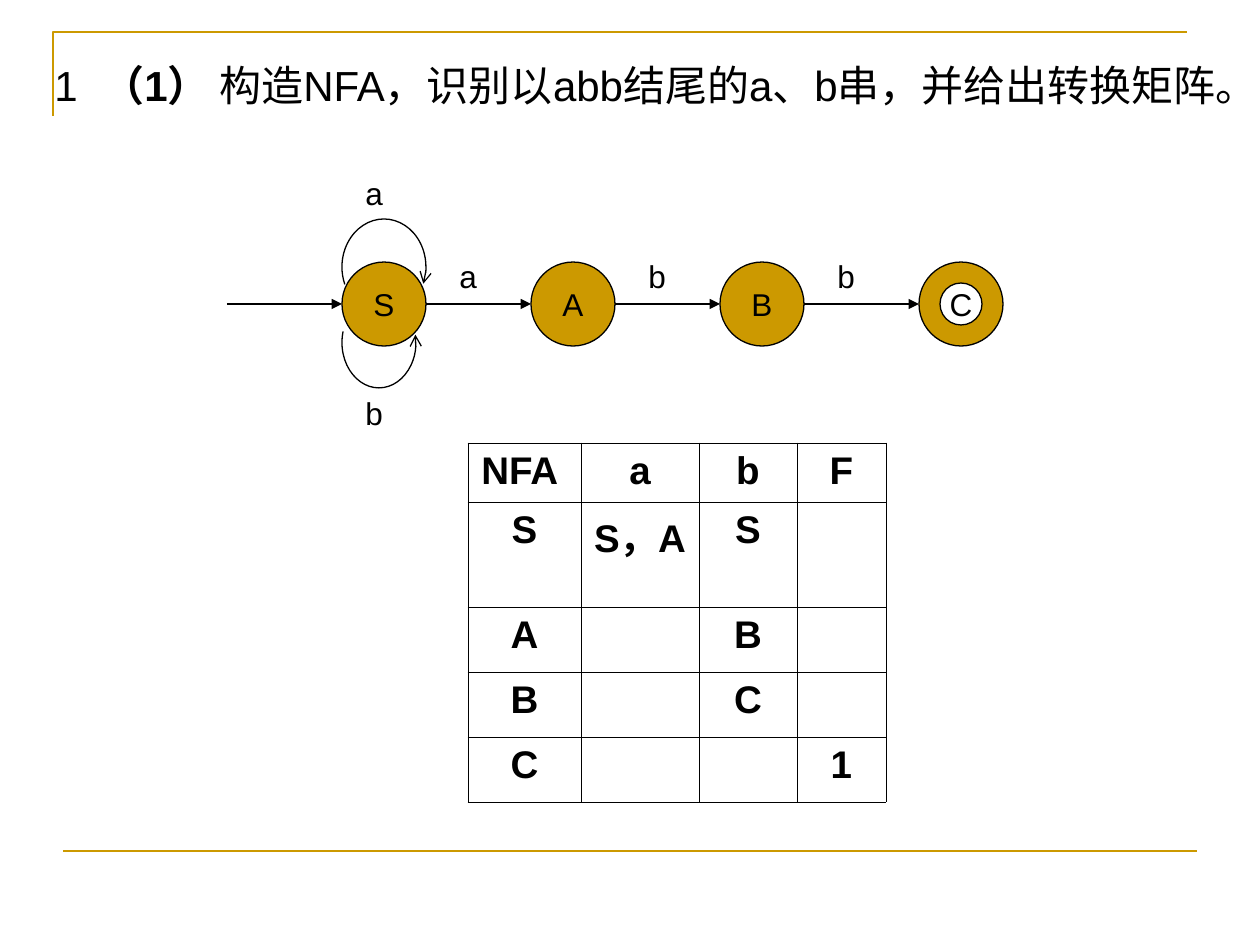
"""Build a slide with an NFA for strings ending in abb and its transition matrix."""
from typing import Any, NamedTuple, Optional

from lxml import etree
from pptx import Presentation
from pptx import util as u
from pptx.dml import color
from pptx.enum import shapes, text
from pptx.oxml import ns

SCALE = 914400 / 126
COLORS = {"gold": "CC9900", "ink": "000000"}
FONT = "Arial"
HANGING = 48
NODE_SIZE = 84
NODE_TOP = 262
AXIS = NODE_TOP + NODE_SIZE // 2


class State(NamedTuple):
    name: str
    left: int
    accepting: bool = False


class Loop(NamedTuple):
    left: int
    top: int
    width: int
    height: int
    start: int
    end: int
    arrow: str


class Label(NamedTuple):
    words: str
    left: int
    top: int
    width: int = 63


STATES = [State("S", 342), State("A", 531), State("B", 720), State("C", 919, True)]
LOOPS = [
    Loop(342, 219, 84, 96, 156, 23, "tailEnd"),
    Loop(342, 297, 74, 91, 348, 197, "headEnd"),
]
LABELS = [
    Label("a", 447, 251),
    Label("b", 636, 251),
    Label("b", 825, 251),
    Label("a", 353, 168, 53),
    Label("b", 353, 388, 53),
]
COLUMNS = [113, 118, 98, 89]
ROWS = [59, 105, 65, 65, 65]
MATRIX = [
    ["NFA ", "a", "b", "F"],
    ["S", "S，A", "S", ""],
    ["A", "", "B", ""],
    ["B", "", "C", ""],
    ["C", "", "", "1"],
]
UNINDENTED = {(1, 1), (1, 2), (4, 3)}


def px(length: int) -> u.Emu:
    """Turn pixels into EMU."""
    return u.Emu(round(length * SCALE))


def rgb(name: str) -> color.RGBColor:
    """Look up a named colour."""
    return color.RGBColor.from_string(COLORS[name])


def style_line(shape: Any, name: str, width: float, arrow: Optional[str] = None, head: str = "triangle") -> None:
    """Set line colour and width, with an arrowhead at one end if named."""
    shape.line.color.rgb = rgb(name)
    shape.line.width = u.Pt(width)
    if arrow:
        etree.SubElement(shape.line._get_or_add_ln(), ns.qn(f"a:{arrow}"), type=head)


def style_paragraph(paragraph: Any, size: int, bold: Optional[bool] = None, centred: bool = False, hanging: bool = False) -> None:
    """Set the indent, alignment and font of a paragraph."""
    if hanging:
        properties = paragraph._p.get_or_add_pPr()
        properties.set("marL", str(px(HANGING)))
        properties.set("indent", str(-px(HANGING)))
    paragraph.alignment = text.PP_ALIGN.CENTER if centred else text.PP_ALIGN.LEFT
    paragraph.font.name = FONT
    paragraph.font.size = u.Pt(size)
    paragraph.font.bold = bold
    paragraph.font.color.rgb = rgb("ink")


def add_line(slide: Any, left: int, right: int, top: int, name: str, width: float, arrow: Optional[str] = None) -> None:
    """Draw a horizontal line."""
    line = slide.shapes.add_connector(shapes.MSO_CONNECTOR.STRAIGHT, px(left), px(top), px(right), px(top))
    style_line(line, name, width, arrow)
    etree.SubElement(line._element.spPr, ns.qn("a:effectLst"))


def add_frame(slide: Any) -> None:
    """Draw the corner rule at the top and the rule at the bottom."""
    builder = slide.shapes.build_freeform(53, 116, scale=SCALE)
    builder.add_line_segments([(53, 32), (1187, 32)], close=False)
    corner = builder.convert_to_shape()
    corner.shadow.inherit = False
    corner.fill.background()
    style_line(corner, "gold", 1.5)
    add_line(slide, 63, 1197, 851, "gold", 1.5)


def add_title(slide: Any) -> None:
    """Write the exercise statement."""
    frame = slide.shapes.add_textbox(px(42), px(53), px(1187), px(813)).text_frame
    frame.word_wrap = True
    paragraph = frame.paragraphs[0]
    style_paragraph(paragraph, 24, hanging=True)
    for words, bold in [
        ("1\t", False),
        ("（1） ", True),
        ("构造NFA，识别以abb结尾的a、b串，并给出转换矩阵。", False),
    ]:
        run = paragraph.add_run()
        run.text = words
        run.font.bold = bold


def add_state(slide: Any, state: State) -> None:
    """Draw a state as a disc, or as a ring if it accepts."""
    kind = shapes.MSO_SHAPE.DONUT if state.accepting else shapes.MSO_SHAPE.FLOWCHART_CONNECTOR
    shape = slide.shapes.add_shape(kind, px(state.left), px(NODE_TOP), px(NODE_SIZE), px(NODE_SIZE))
    shape.shadow.inherit = False
    shape.fill.solid()
    shape.fill.fore_color.rgb = rgb("gold")
    style_line(shape, "ink", 0.75)
    frame = shape.text_frame
    frame.word_wrap = False
    frame.vertical_anchor = text.MSO_ANCHOR.MIDDLE
    frame.text = state.name
    style_paragraph(frame.paragraphs[0], 18, centred=True)


def add_loop(slide: Any, loop: Loop) -> None:
    """Draw a transition from a state to itself."""
    arc = slide.shapes.add_shape(shapes.MSO_SHAPE.ARC, px(loop.left), px(loop.top), px(loop.width), px(loop.height))
    arc.adjustments[0] = loop.start * 0.6
    arc.adjustments[1] = loop.end * 0.6
    arc.shadow.inherit = False
    arc.fill.background()
    style_line(arc, "ink", 0.75, loop.arrow, "arrow")


def add_label(slide: Any, label: Label) -> None:
    """Write the symbol of a transition."""
    frame = slide.shapes.add_textbox(px(label.left), px(label.top), px(label.width), px(50)).text_frame
    frame.word_wrap = True
    frame.text = label.words
    style_paragraph(frame.paragraphs[0], 18)


def add_borders(cell: Any) -> None:
    """Give a table cell thin borders on all sides."""
    properties = cell._tc.get_or_add_tcPr()
    for side in ("lnL", "lnR", "lnT", "lnB"):
        border = etree.SubElement(properties, ns.qn(f"a:{side}"), w=str(u.Pt(0.45)))
        fill = etree.SubElement(border, ns.qn("a:solidFill"))
        etree.SubElement(fill, ns.qn("a:srgbClr"), val=COLORS["ink"])


def add_matrix(slide: Any) -> None:
    """Draw the transition matrix."""
    table = slide.shapes.add_table(
        len(ROWS), len(COLUMNS), px(468), px(443), px(sum(COLUMNS)), px(sum(ROWS))
    ).table
    table.first_row = table.horz_banding = False
    for column, width in zip(table.columns, COLUMNS):
        column.width = px(width)
    for row, height in zip(table.rows, ROWS):
        row.height = px(height)
    for i, values in enumerate(MATRIX):
        for j, value in enumerate(values):
            cell = table.cell(i, j)
            add_borders(cell)
            cell.fill.background()
            cell.text = value
            style_paragraph(cell.text_frame.paragraphs[0], 22, True, True, (i, j) not in UNINDENTED)


def main() -> None:
    """Build and save the slide."""
    presentation = Presentation()
    presentation.slide_width, presentation.slide_height = px(1260), px(945)
    slide = presentation.slides.add_slide(presentation.slide_layouts[6])
    add_frame(slide)
    add_title(slide)
    start = 227
    for state in STATES:
        add_line(slide, start, state.left, AXIS, "ink", 0.75, "tailEnd")
        add_state(slide, state)
        start = state.left + NODE_SIZE
    for loop in LOOPS:
        add_loop(slide, loop)
    for label in LABELS:
        add_label(slide, label)
    add_matrix(slide)
    presentation.save("out.pptx")


if __name__ == "__main__":
    main()
